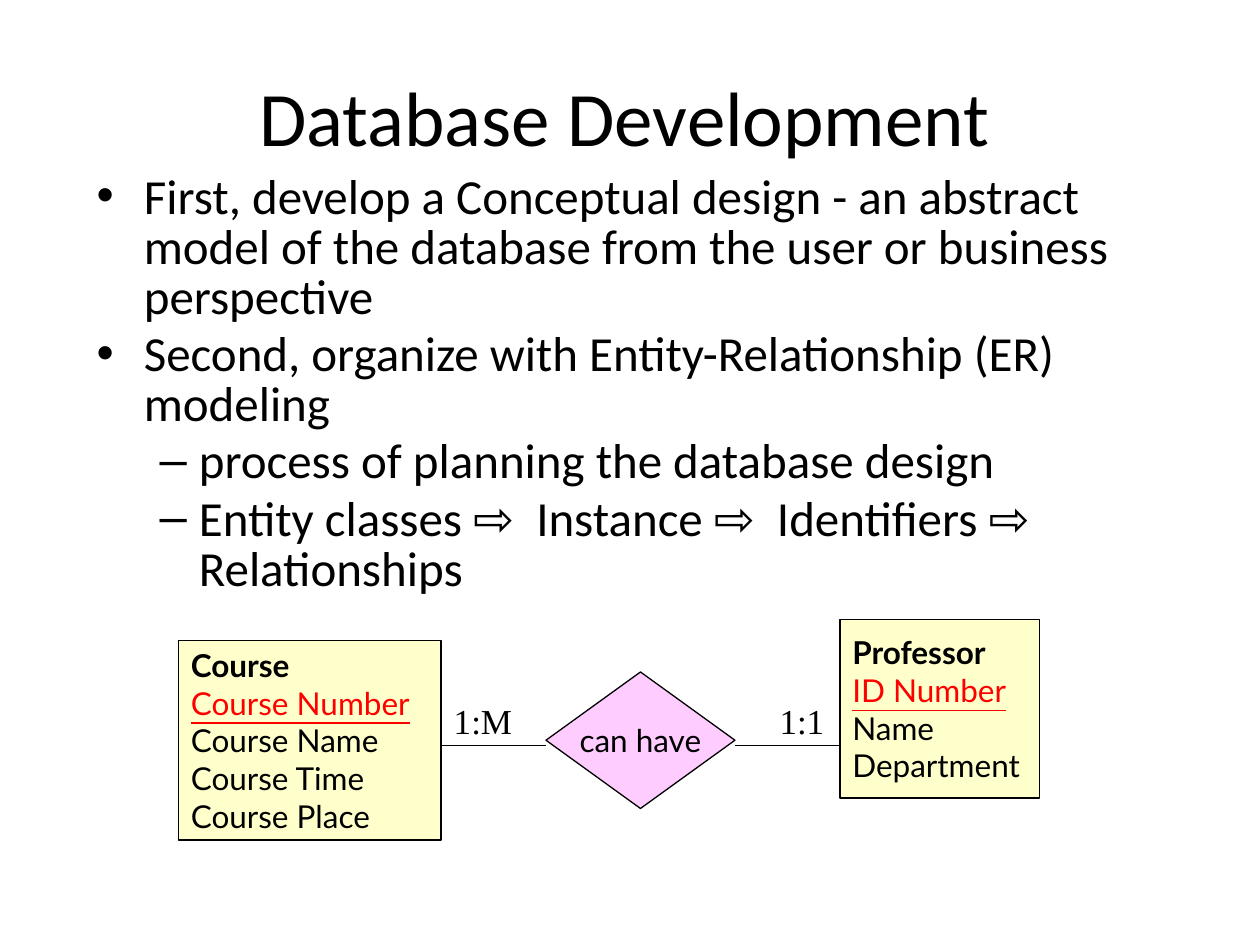
from dataclasses import dataclass

from lxml.etree import SubElement
from pptx import Presentation
from pptx.dml.color import RGBColor
from pptx.enum.shapes import MSO_CONNECTOR, MSO_SHAPE
from pptx.enum.text import MSO_ANCHOR, MSO_AUTO_SIZE, PP_ALIGN
from pptx.oxml.ns import qn
from pptx.util import Emu, Pt

PX = 9525
BLACK, RED, YELLOW, PINK = "000000", "FF0000", "FFFFCC", "FFCCFF"


@dataclass
class Box:
    x: int
    y: int
    w: int
    h: int

    def emu(self) -> list[Emu]:
        return [Emu(v * PX) for v in (self.x, self.y, self.w, self.h)]


@dataclass
class Entity:
    box: Box
    name: str
    key: str
    fields: list[str]


@dataclass
class Level:
    bullet: str
    left: int
    hang: int


LEVELS = [Level("•", 36, 36), Level("–", 78, 30)]
BULLETS = [
    (0, "First, develop a Conceptual design - an abstract model of the database from the user or business perspective"),
    (0, "Second, organize with Entity-Relationship (ER) modeling"),
    (1, "process of planning the database design"),
    (1, "Entity classes ⇨  Instance ⇨  Identifiers ⇨  Relationships"),
]
ENTITIES = [
    Entity(Box(136, 488, 200, 152), "Course", "Course Number",
           ["Course Name", "Course Time", "Course Place"]),
    Entity(Box(640, 472, 152, 136), "Professor", "ID Number",
           ["Name", "Department"]),
]
RELATION = Box(416, 512, 144, 104)
LINE_Y = 568
LABELS = [("1:M", Box(335, 528, 66, 41)), ("1:1", Box(583, 528, 56, 41))]


def rgb(color: str) -> RGBColor:
    return RGBColor.from_string(color)


def style(p, size: int, face: str, color: str = BLACK) -> None:
    for r in p.runs:
        r.font.size = Pt(size)
        r.font.name = face
        r.font.color.rgb = rgb(color)


def place(sp, box: Box) -> None:
    sp.left, sp.top, sp.width, sp.height = box.emu()


def set_bullet(p, level: Level) -> None:
    pPr = p._p.get_or_add_pPr()
    pPr.set("marL", str(level.left * PX))
    pPr.set("indent", str(-level.hang * PX))
    SubElement(pPr, qn("a:buFont")).set("typeface", "Arial")
    SubElement(pPr, qn("a:buChar")).set("char", level.bullet)


def add_title(s, text: str) -> None:
    sp = s.shapes.title
    place(sp, Box(64, 69, 824, 53))
    tf = sp.text_frame
    tf.text = text
    tf.auto_size = MSO_AUTO_SIZE.NONE
    tf.vertical_anchor = MSO_ANCHOR.MIDDLE
    p = tf.paragraphs[0]
    p.alignment = PP_ALIGN.CENTER
    p.line_spacing = 0.75
    style(p, 44, "Calibri")


def add_body(s) -> None:
    sp = s.placeholders[1]
    place(sp, Box(64, 128, 832, 335))
    tf = sp.text_frame
    tf.auto_size = MSO_AUTO_SIZE.NONE
    tf.text = "\n".join(text for _, text in BULLETS)
    for i, (p, (level, _)) in enumerate(zip(tf.paragraphs, BULLETS)):
        p.level = level
        set_bullet(p, LEVELS[level])
        p.line_spacing = 0.85
        p.space_before = Pt(4.2 if i else 0)
        style(p, 28, "Calibri")


def add_node(s, kind: MSO_SHAPE, box: Box, fill: str, text: str, align: PP_ALIGN, wrap: bool):
    sp = s.shapes.add_shape(kind, *box.emu())
    sp.shadow.inherit = False
    sp.fill.solid()
    sp.fill.fore_color.rgb = rgb(fill)
    sp.line.color.rgb = rgb(BLACK)
    sp.line.width = Pt(0.75)
    tf = sp.text_frame
    tf.text = text
    tf.word_wrap = wrap
    tf.vertical_anchor = MSO_ANCHOR.MIDDLE
    for p in tf.paragraphs:
        p.alignment = align
        style(p, 18, "Lato")
    return tf


def add_entity(s, entity: Entity) -> None:
    text = "\n".join([entity.name, entity.key, *entity.fields])
    tf = add_node(s, MSO_SHAPE.RECTANGLE, entity.box, YELLOW, text, PP_ALIGN.LEFT, True)
    name, key = tf.paragraphs[:2]
    name.runs[0].font.bold = True
    key.runs[0].font.underline = True
    style(key, 18, "Lato", RED)


def add_line(s, x1: int, x2: int, y: int) -> None:
    ends = [Emu(v * PX) for v in (x1, y, x2, y)]
    cn = s.shapes.add_connector(MSO_CONNECTOR.STRAIGHT, *ends)
    cn.line.color.rgb = rgb(BLACK)
    cn.line.width = Pt(0.75)
    SubElement(cn._element.spPr, qn("a:effectLst"))


def add_label(s, text: str, box: Box) -> None:
    tf = s.shapes.add_textbox(*box.emu()).text_frame
    tf.text = text
    tf.word_wrap = False
    tf.auto_size = MSO_AUTO_SIZE.SHAPE_TO_FIT_TEXT
    p = tf.paragraphs[0]
    p.alignment = PP_ALIGN.CENTER
    style(p, 20, "Times New Roman")


def main() -> None:
    prs = Presentation()
    prs.slide_width, prs.slide_height = Emu(960 * PX), Emu(720 * PX)
    s = prs.slides.add_slide(prs.slide_layouts[1])
    add_title(s, "Database Development")
    add_body(s)
    for entity in ENTITIES:
        add_entity(s, entity)
    add_node(s, MSO_SHAPE.DIAMOND, RELATION, PINK, "can have", PP_ALIGN.CENTER, False)
    course, professor = (entity.box for entity in ENTITIES)
    add_line(s, course.x + course.w, RELATION.x, LINE_Y)
    add_line(s, RELATION.x + RELATION.w, professor.x, LINE_Y)
    for text, box in LABELS:
        add_label(s, text, box)
    prs.save("out.pptx")


if __name__ == "__main__":
    main()
